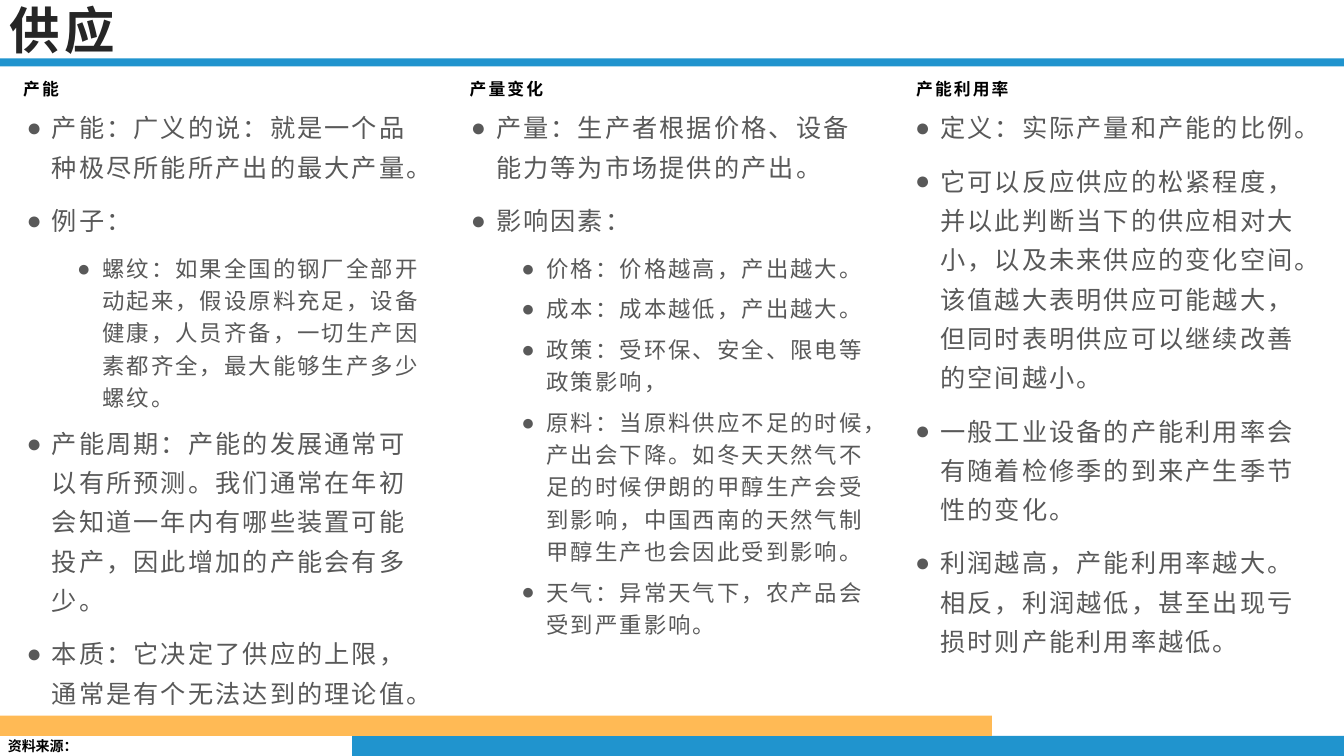
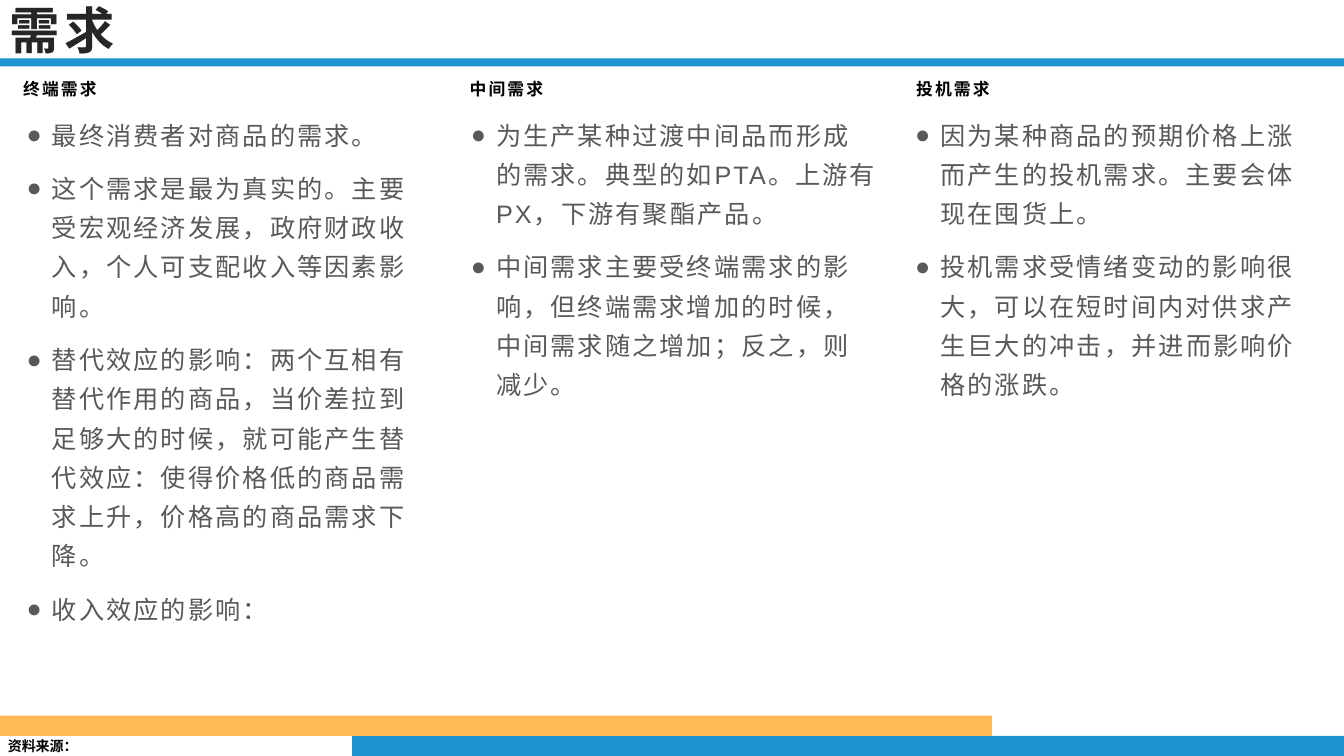
import dataclasses

import pptx
import pptx.dml.color
import pptx.enum.shapes
import pptx.enum.text
import pptx.oxml.ns
import pptx.util
from lxml import etree


@dataclasses.dataclass(frozen=True)
class TextStyle:
    size: int
    color: str
    font: str = "Noto Sans CJK SC"
    bold: bool = True
    tracking: float = 0


@dataclasses.dataclass(frozen=True)
class ParagraphStyle:
    margin: float = 0
    hanging: float = 0
    line_spacing: float = 1.0
    space_after: int = 0
    bullet: str = ""


class Theme:
    BLUE = "2094CE"
    ORANGE = "FFBA55"
    WHITE = "FFFFFF"
    EAST_ASIAN_FONT = "Noto Sans CJK SC"

    TITLE = TextStyle(36, "262626", tracking=3)
    HEADING = TextStyle(12, "000000", tracking=1.5)
    SOURCE = TextStyle(10, "000000")
    POINTS = (
        TextStyle(18, "595959", "Arial", False, 1.5),
        TextStyle(16, "595959", "Arial", False, 1.5),
    )
    PLAIN = ParagraphStyle()
    HEADING_PARAGRAPH = ParagraphStyle(0.25, 0.25, 1.3, 10)
    POINT_PARAGRAPHS = (
        ParagraphStyle(0.25, 0.25, 1.3, 10, "●"),
        ParagraphStyle(0.75, 0.25, 1.2, 6, "●"),
    )


class Deck:
    """Draws on a grid of 40 columns by 30 rows."""

    COLUMNS, ROWS = 40, 30
    BAND_WIDTH, BAND_HEIGHT = 29.52, 0.8
    TITLE_HEIGHT = 2.32
    BODY_BOTTOM = ROWS - 2 * BAND_HEIGHT

    def __init__(self):
        self.presentation = pptx.Presentation()
        self.presentation.slide_width = pptx.util.Inches(13.33)
        self.presentation.slide_height = pptx.util.Inches(7.5)
        self.slide = None

    def place(self, column, row, width, height):
        """Turn grid units into slide lengths."""
        x_unit = self.presentation.slide_width / self.COLUMNS
        y_unit = self.presentation.slide_height / self.ROWS
        return (int(column * x_unit), int(row * y_unit),
                int(width * x_unit), int(height * y_unit))

    def rectangle(self, cell, color):
        shape = self.slide.shapes.add_shape(
            pptx.enum.shapes.MSO_SHAPE.RECTANGLE, *self.place(*cell))
        shape.shadow.inherit = False
        shape.fill.solid()
        shape.fill.fore_color.rgb = pptx.dml.color.RGBColor.from_string(color)
        shape.line.fill.background()
        return shape

    def text_box(self, cell):
        return self.slide.shapes.add_textbox(*self.place(*cell))

    def frame(self, shape, insets=(0.1, 0.05, 0.1, 0.05), middle=False):
        """Prepare a shape's text frame; insets are left, top, right, bottom."""
        frame = shape.text_frame
        frame.word_wrap = True
        (frame.margin_left, frame.margin_top,
         frame.margin_right, frame.margin_bottom) = map(pptx.util.Inches, insets)
        anchor = pptx.enum.text.MSO_ANCHOR
        frame.vertical_anchor = anchor.MIDDLE if middle else anchor.TOP
        return frame

    def add_text(self, paragraph, text, style, layout=Theme.PLAIN):
        paragraph.alignment = pptx.enum.text.PP_ALIGN.LEFT
        paragraph.line_spacing = layout.line_spacing
        paragraph.space_after = pptx.util.Pt(layout.space_after)
        properties = paragraph._p.get_or_add_pPr()
        properties.set("marL", str(pptx.util.Inches(layout.margin)))
        properties.set("indent", str(-pptx.util.Inches(layout.hanging)))
        properties.set("hangingPunct", "1")
        qn = pptx.oxml.ns.qn
        if layout.bullet:
            etree.SubElement(properties, qn("a:buFont")).set("typeface", "Arial")
            etree.SubElement(properties, qn("a:buChar")).set("char", layout.bullet)

        run = paragraph.add_run()
        run.text = text
        font = run.font
        font.size = pptx.util.Pt(style.size)
        font.bold = style.bold
        font.color.rgb = pptx.dml.color.RGBColor.from_string(style.color)
        font.name = style.font
        run_properties = run._r.get_or_add_rPr()
        run_properties.set("lang", "zh-CN")
        run_properties.set("spc", str(int(style.tracking * 100)))
        east_asian = etree.SubElement(run_properties, qn("a:ea"))
        east_asian.set("typeface", Theme.EAST_ASIAN_FONT)

    def bands(self):
        width, height = self.BAND_WIDTH, self.BAND_HEIGHT
        self.rectangle((self.COLUMNS - width, self.ROWS - height, width, height),
                       Theme.BLUE)
        self.rectangle((0, self.BODY_BOTTOM, width, height), Theme.ORANGE)
        self.rectangle((0, self.TITLE_HEIGHT, self.COLUMNS, 0.32), Theme.BLUE)

    def source(self):
        box = self.text_box((-0.06, 29.08, 2.46, 1.08))
        frame = self.frame(box, (0.1, 0.05, 0, 0.05))
        self.add_text(frame.paragraphs[0], "资料来源：", Theme.SOURCE)

    def title(self, text):
        box = self.text_box((0, 0, 34.32, self.TITLE_HEIGHT))
        frame = self.frame(box, middle=True)
        self.add_text(frame.paragraphs[0], text, Theme.TITLE)

    def heading(self, index, text):
        shape = self.rectangle((0.42 + 13.29 * index, 2.88, 12.75, 1.04),
                               Theme.WHITE)
        frame = self.frame(shape, (0.09, 0.04, 0.09, 0.04), middle=True)
        self.add_text(frame.paragraphs[0], text, Theme.HEADING,
                      Theme.HEADING_PARAGRAPH)

    def points(self, index, top, points):
        """Fill one column with (level, text) bullets."""
        box = self.text_box((0.5 + 13.22 * index, top, 12.66,
                             self.BODY_BOTTOM - top))
        frame = self.frame(box)
        for number, (level, text) in enumerate(points):
            paragraph = frame.add_paragraph() if number else frame.paragraphs[0]
            paragraph.level = level
            self.add_text(paragraph, text, Theme.POINTS[level],
                          Theme.POINT_PARAGRAPHS[level])

    def three_column_slide(self, title, body_top, columns):
        blank = self.presentation.slide_layouts[6]
        self.slide = self.presentation.slides.add_slide(blank)
        self.bands()
        self.source()
        self.title(title)
        for index, (heading, points) in enumerate(columns.items()):
            self.points(index, body_top, points)
            self.heading(index, heading)


SUPPLY = {
    "产能": [
        (0, "产能：广义的说：就是一个品种极尽所能所产出的最大产量。"),
        (0, "例子："),
        (1, "螺纹：如果全国的钢厂全部开动起来，假设原料充足，设备健康，"
            "人员齐备，一切生产因素都齐全，最大能够生产多少螺纹。"),
        (0, "产能周期：产能的发展通常可以有所预测。我们通常在年初会知道"
            "一年内有哪些装置可能投产，因此增加的产能会有多少。"),
        (0, "本质：它决定了供应的上限，通常是有个无法达到的理论值。"),
    ],
    "产量变化": [
        (0, "产量：生产者根据价格、设备能力等为市场提供的产出。"),
        (0, "影响因素："),
        (1, "价格：价格越高，产出越大。"),
        (1, "成本：成本越低，产出越大。"),
        (1, "政策：受环保、安全、限电等政策影响，"),
        (1, "原料：当原料供应不足的时候，产出会下降。如冬天天然气不足的时候"
            "伊朗的甲醇生产会受到影响，中国西南的天然气制甲醇生产也会因此受到影响。"),
        (1, "天气：异常天气下，农产品会受到严重影响。"),
    ],
    "产能利用率": [
        (0, "定义：实际产量和产能的比例。"),
        (0, "它可以反应供应的松紧程度，并以此判断当下的供应相对大小，"
            "以及未来供应的变化空间。该值越大表明供应可能越大，"
            "但同时表明供应可以继续改善的空间越小。"),
        (0, "一般工业设备的产能利用率会有随着检修季的到来产生季节性的变化。"),
        (0, "利润越高，产能利用率越大。相反，利润越低，"
            "甚至出现亏损时则产能利用率越低。"),
    ],
}

DEMAND = {
    "终端需求": [
        (0, "最终消费者对商品的需求。"),
        (0, "这个需求是最为真实的。主要受宏观经济发展，政府财政收入，"
            "个人可支配收入等因素影响。"),
        (0, "替代效应的影响：两个互相有替代作用的商品，当价差拉到足够大的时候，"
            "就可能产生替代效应：使得价格低的商品需求上升，价格高的商品需求下降。"),
        (0, "收入效应的影响："),
    ],
    "中间需求": [
        (0, "为生产某种过渡中间品而形成的需求。典型的如PTA。"
            "上游有PX，下游有聚酯产品。"),
        (0, "中间需求主要受终端需求的影响，但终端需求增加的时候，"
            "中间需求随之增加；反之，则减少。"),
    ],
    "投机需求": [
        (0, "因为某种商品的预期价格上涨而产生的投机需求。主要会体现在囤货上。"),
        (0, "投机需求受情绪变动的影响很大，可以在短时间内对供求产生巨大的冲击，"
            "并进而影响价格的涨跌。"),
    ],
}


def main():
    deck = Deck()
    deck.three_column_slide("供应", 3.92, SUPPLY)
    deck.three_column_slide("需求", 4.2, DEMAND)
    deck.presentation.save("out.pptx")


if __name__ == "__main__":
    main()
